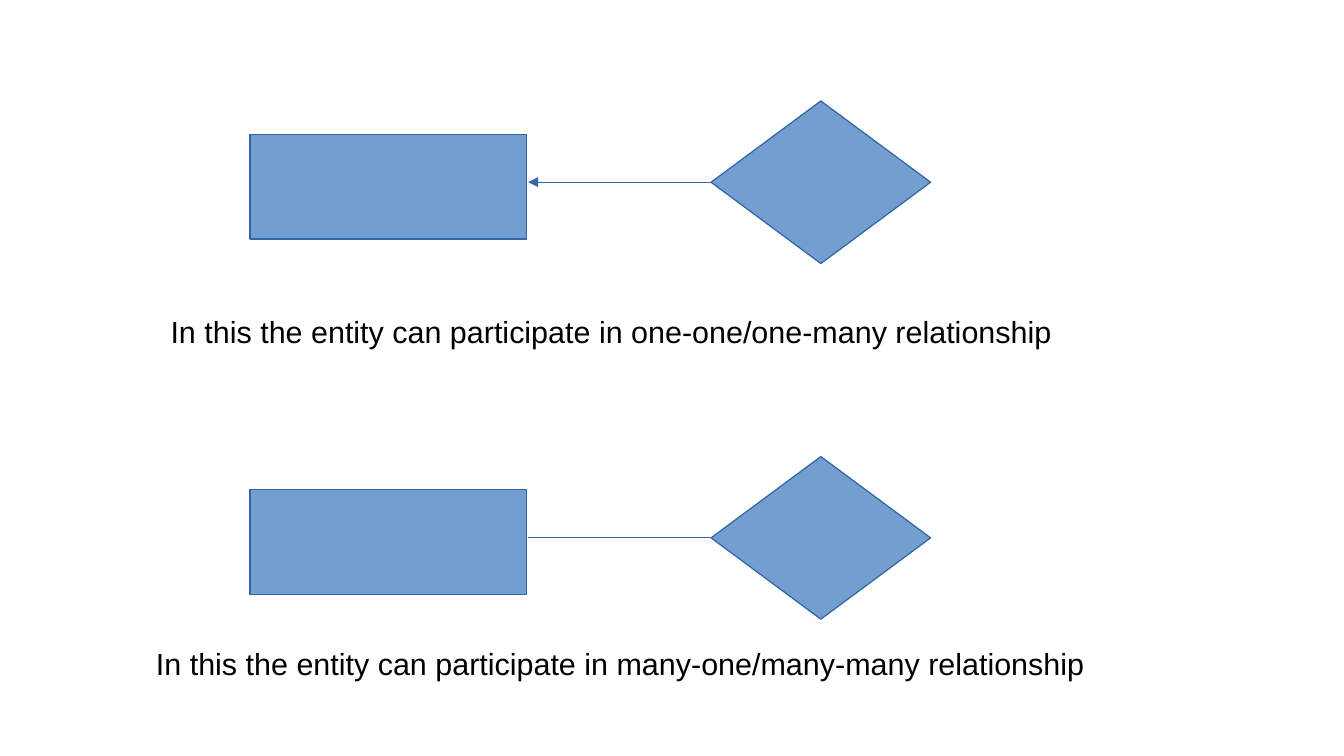
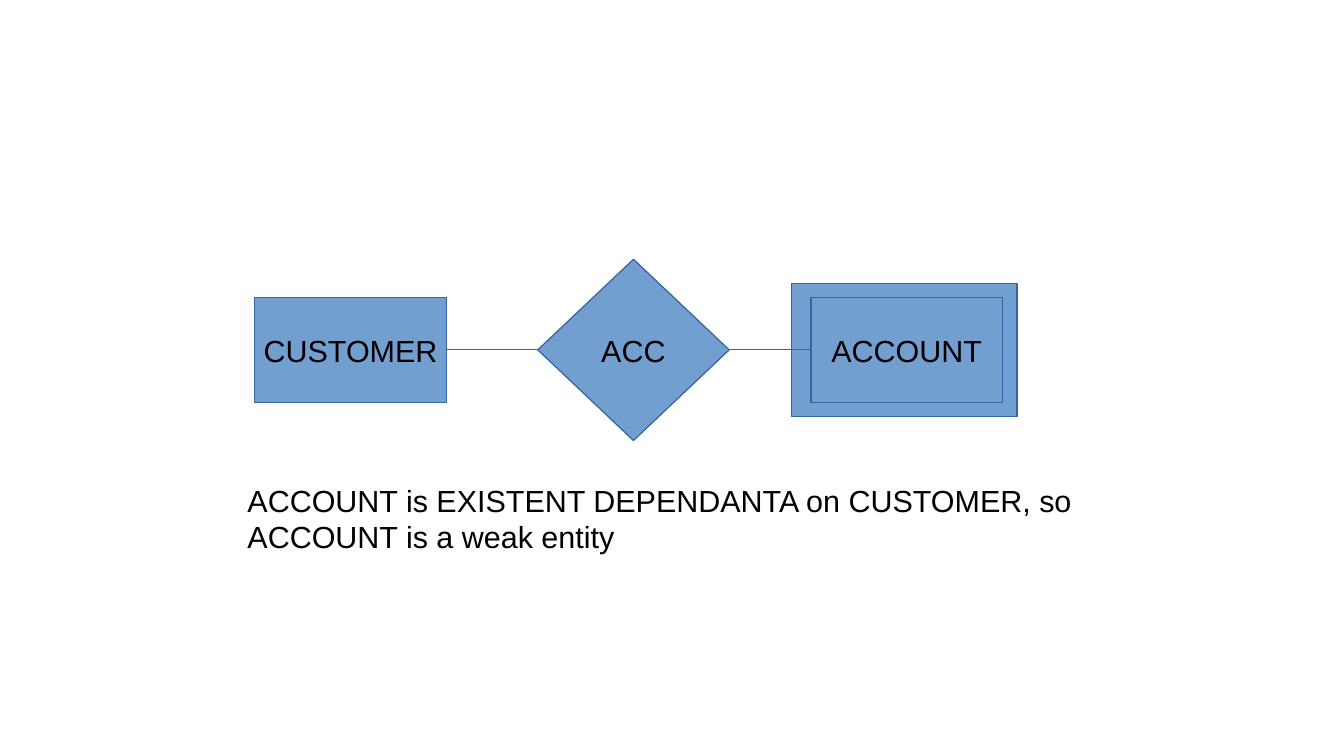
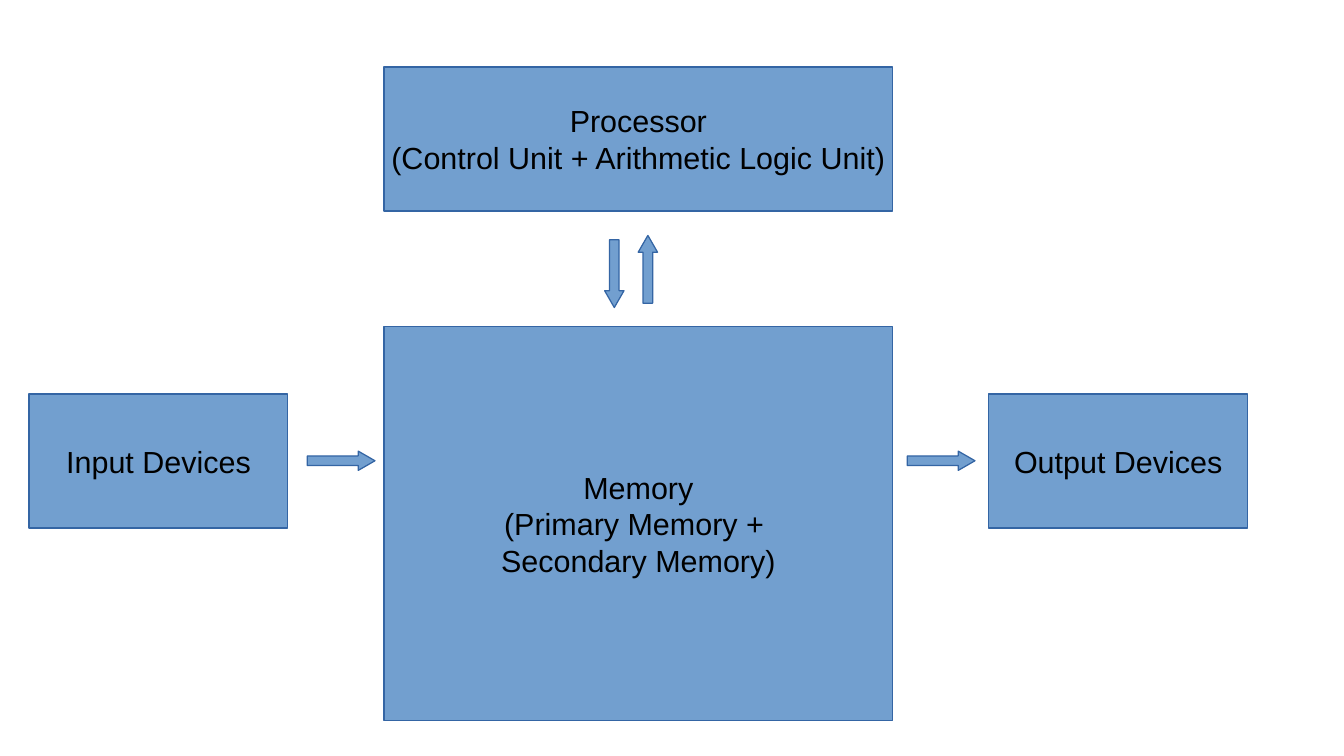
from lxml.etree import SubElement
from pptx import Presentation
from pptx.dml.color import RGBColor
from pptx.enum.shapes import MSO_CONNECTOR, MSO_SHAPE as Preset
from pptx.enum.text import MSO_ANCHOR as Anchor, PP_ALIGN as Align
from pptx.oxml.ns import qn
from pptx.util import Pt

BLUE = RGBColor(0x72, 0x9F, 0xCF)
OUTLINE = RGBColor(0x34, 0x65, 0xA4)
BLACK = RGBColor(0, 0, 0)

LEFT, RIGHT = 1, 3  # connection sites


class Diagram:
    """Holds the shared style and the slide being drawn."""

    FONT = {"name": "Arial", "size": Pt(18)}
    CAPTION = {"word_wrap": True, "vertical_anchor": Anchor.TOP}
    LABEL = {"word_wrap": False, "vertical_anchor": Anchor.MIDDLE}
    MARGINS = {"margin_left": Pt(7.2), "margin_right": Pt(7.2),
               "margin_top": Pt(3.6), "margin_bottom": Pt(3.6)}

    def __init__(self, width, height):
        self.presentation = Presentation()
        self.presentation.slide_width = Pt(width)
        self.presentation.slide_height = Pt(height)
        self.slide = None

    def new_slide(self):
        layout = self.presentation.slide_layouts[6]
        self.slide = self.presentation.slides.add_slide(layout)

    def set_text(self, shape, text, frame_format, alignment):
        frame = shape.text_frame
        for name, value in {**self.MARGINS, **frame_format}.items():
            setattr(frame, name, value)
        frame.text = text
        for paragraph in frame.paragraphs:
            paragraph.alignment = alignment
            for name, value in self.FONT.items():
                setattr(paragraph.font, name, value)
            paragraph.font.color.rgb = BLACK

    def outline(self, line):
        line.color.rgb = OUTLINE
        line.width = Pt(0.75)

    def shape(self, preset, left, top, width, height, text=""):
        shape = self.slide.shapes.add_shape(
            preset, Pt(left), Pt(top), Pt(width), Pt(height))
        shape.shadow.inherit = False
        shape.fill.solid()
        shape.fill.fore_color.rgb = BLUE
        self.outline(shape.line)
        if text:
            self.set_text(shape, text, self.LABEL, Align.CENTER)
        return shape

    def box(self, *place, text=""):
        return self.shape(Preset.RECTANGLE, *place, text)

    def diamond(self, *place, text=""):
        return self.shape(Preset.DIAMOND, *place, text)

    def arrow(self, preset, left, top, width, height):
        shape = self.shape(preset, left, top, width, height)
        shape.adjustments[0] = 0.5
        shape.adjustments[1] = 0.87

    def caption(self, left, top, width, height, text):
        box = self.slide.shapes.add_textbox(
            Pt(left), Pt(top), Pt(width), Pt(height))
        self.set_text(box, text, self.CAPTION, Align.LEFT)

    def connector(self, start, start_site, end, end_site=None, head=False):
        """Join start to a shape's site, or to a point when end is a tuple."""
        x, y = (0, 0) if end_site is not None else end
        line = self.slide.shapes.add_connector(
            MSO_CONNECTOR.STRAIGHT, Pt(0), Pt(0), Pt(x), Pt(y))
        line.begin_connect(start, start_site)
        if end_site is not None:
            line.end_connect(end, end_site)
        self.outline(line.line)
        properties = line._element.spPr
        if head:
            SubElement(properties.find(qn("a:ln")), qn("a:tailEnd"),
                       type="triangle")
        SubElement(properties, qn("a:effectLst"))


def participation_slide(diagram):
    diagram.new_slide()
    pitch = 210
    for row, head in enumerate((True, False)):
        offset = row * pitch
        diagram.box(147.6, 79.2 + offset, 163.4, 62)
        relationship = diagram.diamond(419.8, 59.6 + offset, 129.6, 96)
        diagram.connector(relationship, LEFT, (311.8, 107.6 + offset),
                          head=head)
    diagram.caption(
        93.6, 181.4, 543.6, 26.6,
        "In this the entity can participate in one-one/one-many relationship")
    diagram.caption(
        85, 377.3, 563.8, 46.8,
        "In this the entity can participate in many-one/many-many relationship")


def weak_entity_slide(diagram):
    diagram.new_slide()
    middle, width, height = 206.6, 113, 62
    top = middle - height / 2
    # Double frame of the weak entity
    diagram.box(467.3, middle - 39.2, 133.2, 78.4)
    customer = diagram.box(150.5, top, width, height, text="CUSTOMER")
    account = diagram.box(478.8, top, width, height, text="ACCOUNT")
    relationship = diagram.diamond(317.5, middle - 53.5, width, 107,
                                   text="ACC")
    diagram.connector(customer, RIGHT, relationship, LEFT)
    diagram.connector(relationship, RIGHT, account, LEFT)
    diagram.caption(
        139, 280.8, 560.9, 46.8,
        "ACCOUNT is EXISTENT DEPENDANTA on CUSTOMER, so "
        "ACCOUNT is a weak entity")


def computer_slide(diagram):
    diagram.new_slide()
    # Processor above memory
    column_left, column_width = 226.8, 300.2
    diagram.box(column_left, 39.6, column_width, 85,
                text="Processor\n(Control Unit + Arithmetic Logic Unit)")
    diagram.box(column_left, 193, column_width, 232.6,
                text="Memory\n(Primary Memory + \nSecondary Memory)")
    # Devices on both sides
    for left, text in ((583.8, "Output Devices"), (17.2, "Input Devices")):
        diagram.box(left, 232.6, 152.8, 79.2, text=text)
    # Data flow
    length, thickness = 40, 11.4
    diagram.arrow(Preset.DOWN_ARROW, 357, 141.6, thickness, length)
    diagram.arrow(Preset.UP_ARROW, 376.8, 139, thickness, length)
    for left in (181.4, 535.6):
        diagram.arrow(Preset.RIGHT_ARROW, left, 266.4, length, thickness)


def main():
    diagram = Diagram(793.44, 446.4)
    participation_slide(diagram)
    weak_entity_slide(diagram)
    computer_slide(diagram)
    diagram.presentation.save("out.pptx")


if __name__ == "__main__":
    main()
